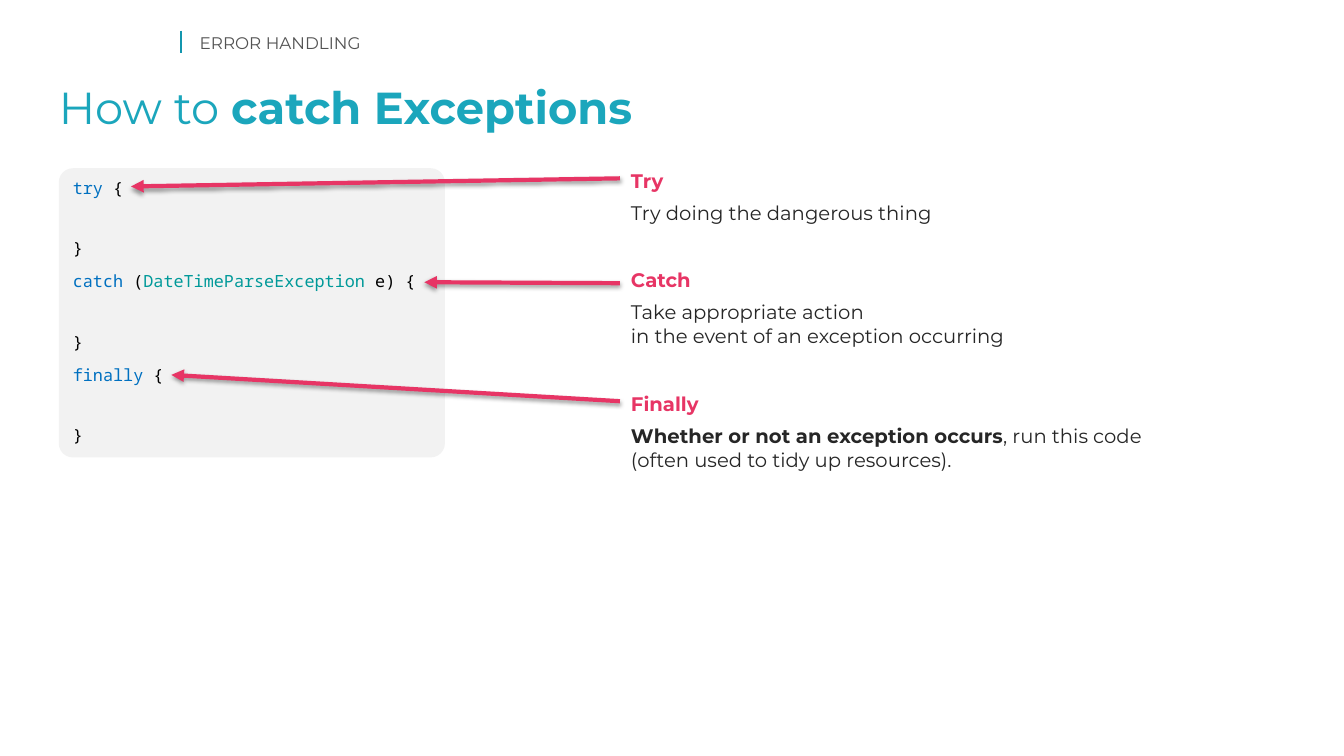
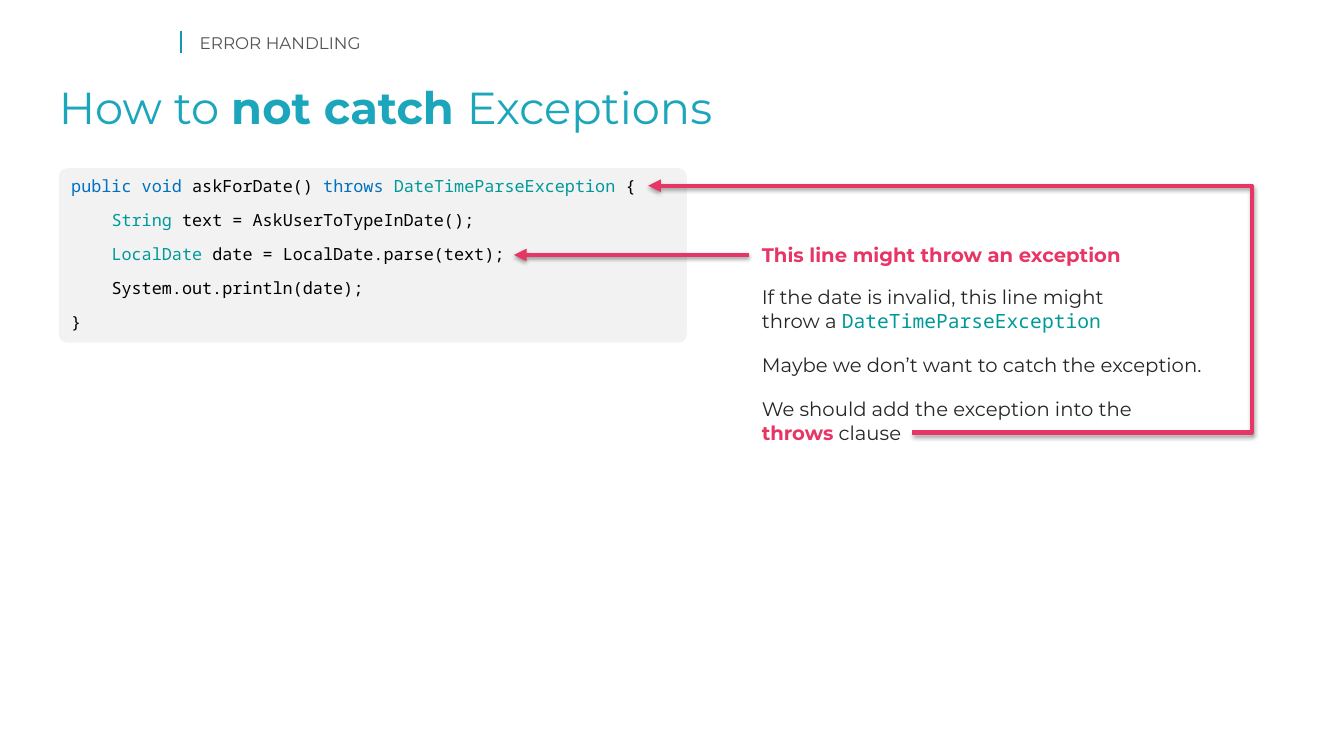
from lxml.etree import SubElement
from pptx import Presentation
from pptx.dml.color import RGBColor
from pptx.enum.shapes import MSO_CONNECTOR, MSO_SHAPE
from pptx.enum.text import MSO_ANCHOR, MSO_AUTO_SIZE, PP_ALIGN
from pptx.oxml.ns import qn
from pptx.util import Pt

SANS, MONO = "Montserrat", "Noto Sans Mono"
TEAL, RULE, GREY, PINK, INK = "1BA6BC", "1396AE", "535353", "E73565", "262626"
BLUE, GREEN, BLACK, PANEL = "0070C0", "009999", "000000", "F2F2F2"
LEFT, TOP = 42, 120.2
PITCH, GAP = 14.3, 9.9


def tint(code):
    """Turn a hex string into a colour."""
    return RGBColor.from_string(code)


def write(para, text, color, size, bold=False, face=SANS):
    """Add text to a paragraph, one run for each line."""
    for num, line in enumerate(text.split("\n")):
        if num:
            para.add_line_break()
        run = para.add_run()
        run.text = line
        font = run.font
        font.name, font.size, font.bold = face, Pt(size), bold
        font.color.rgb = tint(color)


def setup(shape, box=None):
    """Place a text shape, clear its margins and return its first paragraph."""
    if box:
        shape.left, shape.top, shape.width, shape.height = map(Pt, box)
    frame = shape.text_frame
    frame.margin_left = frame.margin_right = 0
    frame.margin_top = frame.margin_bottom = 0
    frame.word_wrap = True
    frame.auto_size = MSO_AUTO_SIZE.NONE
    frame.vertical_anchor = MSO_ANCHOR.TOP
    para = frame.paragraphs[0]
    para.alignment = PP_ALIGN.LEFT
    return para


def head(deck, parts):
    """Add a slide with its section label, rule and title."""
    slide = deck.slides.add_slide(deck.slide_layouts[0])
    title, label = slide.placeholders
    para = setup(title, (LEFT, 61.2, 872.6, 34.6))
    para.line_spacing = 0.9
    for text, bold in parts:
        write(para, text, TEAL, 32, bold)
    para = setup(label, (142.6, 25.2, 674.6, 13.7))
    para.line_spacing = 0.9
    para.space_before = Pt(0)
    write(para, "ERROR HANDLING", GREY, 12)
    link(slide, (129.4, 21.9), (129.4, 38.2), RULE, 1)
    return slide


def link(slide, start, end, color, width, kind=MSO_CONNECTOR.STRAIGHT):
    """Draw a plain line and return its properties element."""
    line = slide.shapes.add_connector(kind, *map(Pt, start + end))
    line.line.color.rgb = tint(color)
    line.line.width = Pt(width)
    props = line._element.spPr
    SubElement(props, qn("a:effectLst"))
    return props


def arrow(slide, tip, tail, turn=None):
    """Draw a shadowed arrow, bent at the given x when there is one."""
    kind = MSO_CONNECTOR.ELBOW if turn else MSO_CONNECTOR.STRAIGHT
    props = link(slide, tip, tail, PINK, 3, kind)
    SubElement(props.find(qn("a:ln")), qn("a:headEnd"), type="triangle")
    cast = SubElement(props.find(qn("a:effectLst")), qn("a:outerShdw"),
                      blurRad=str(Pt(3.1)), dist=str(Pt(1.6)),
                      dir="5400000", rotWithShape="0")
    shade = SubElement(cast, qn("a:srgbClr"), val=BLACK)
    SubElement(shade, qn("a:alpha"), val="38000")
    if turn:
        ratio = round((turn - tip[0]) / (tail[0] - tip[0]) * 100000)
        guides = props.find(qn("a:prstGeom")).find(qn("a:avLst"))
        SubElement(guides, qn("a:gd"), name="adj1", fmla=f"val {ratio}")


def code(slide, box, rows):
    """Draw a code panel; each row is space before, indent and runs."""
    panel = slide.shapes.add_shape(MSO_SHAPE.ROUNDED_RECTANGLE, *map(Pt, box))
    panel.adjustments[0] = 0.049
    panel.shadow.inherit = False
    panel.fill.solid()
    panel.fill.fore_color.rgb = tint(PANEL)
    panel.line.fill.background()
    frame = panel.text_frame
    frame.word_wrap = True
    frame.vertical_anchor = MSO_ANCHOR.MIDDLE
    frame.margin_bottom = Pt(5.6)
    for num, (before, indent, runs) in enumerate(rows):
        para = frame.add_paragraph() if num else frame.paragraphs[0]
        para.alignment = PP_ALIGN.LEFT
        para.line_spacing = Pt(PITCH)
        para.space_before = Pt(before)
        para._p.get_or_add_pPr().set("marL", str(Pt(indent)))
        for text, color in runs:
            write(para, text, color, 12, face=MONO)


def note(slide, box, paras, after):
    """Write a note; each paragraph is a list of runs."""
    shape = slide.shapes.add_textbox(*map(Pt, box))
    first = setup(shape)
    for num, runs in enumerate(paras):
        para = shape.text_frame.add_paragraph() if num else first
        para.space_after = Pt(after)
        for text, color, bold, face in runs:
            write(para, text, color, 14, bold, face)


def plain(text):
    """Give a run of body text."""
    return text, INK, False, SANS


def strong(text, color=PINK):
    """Give a run of bold text."""
    return text, color, True, SANS


def catch(deck):
    """Build the slide on catching exceptions."""
    slide = head(deck, [("How to ", False), ("catch Exceptions", True)])
    heads = [
        [("try", BLUE), (" {", BLACK)],
        [("catch", BLUE), (" (", BLACK), ("DateTimeParseException", GREEN),
         (" e) {", BLACK)],
        [("finally", BLUE), (" {", BLACK)],
    ]
    rows = []
    for num, runs in enumerate(heads):
        rows.append((GAP if num else 0, 0, runs))
        rows.append((2 * PITCH, 0, [("}", BLACK)]))
    code(slide, (LEFT, TOP, 275.8, 206.6), rows)
    notes = [
        (120.6, 268, "Try", [plain("Try doing the dangerous thing")]),
        (191.5, 268, "Catch", [plain("Take appropriate action \n"
                                     "in the event of an exception occurring")]),
        (280, 366.5, "Finally", [
            strong("Whether or not an exception occurs", INK),
            plain(", run this code (often used to tidy up resources).")]),
    ]
    for top, width, name, runs in notes:
        note(slide, (450.7, top, width, 57), [[strong(name)], runs], 6)
    for tip, level in (((93.6, 133.2), 127.4), ((303.1, 201.6), 202.3),
                       ((122.4, 267.8), 286.6)):
        arrow(slide, tip, (442.8, level))


def throw(deck):
    """Build the slide on passing exceptions on."""
    slide = head(deck, [("How to ", False), ("not catch ", True),
                        ("Exceptions", False)])
    step = 28.8
    code(slide, (LEFT, TOP, 448.6, 124.6), [
        (0, 0, [("public void ", BLUE), ("askForDate() ", BLACK),
                ("throws ", BLUE), ("DateTimeParseException", GREEN),
                (" {", BLACK)]),
        (GAP, step, [("String ", GREEN),
                     ("text = AskUserToTypeInDate();", BLACK)]),
        (GAP, step, [("LocalDate", GREEN),
                     (" date = LocalDate.parse(text);", BLACK)]),
        (GAP, step, [("System.out.println(date);", BLACK)]),
        (GAP, 0, [("}", BLACK)]),
    ])
    notes = [
        (173.5, 268, [strong("This line might throw an exception")]),
        (203.8, 268, [plain("If the date is invalid, this line might throw a "),
                      ("DateTimeParseException", GREEN, False, MONO)]),
        (252, 323.3, [plain("Maybe we don’t want to catch the exception.")]),
        (283.6, 272.9, [plain("We should add the exception into the "),
                        strong("throws"), plain(" clause")]),
    ]
    for top, width, runs in notes:
        note(slide, (544.2, top, width, 17), [runs], 12)
    arrow(slide, (463, 132.6), (651.6, 308.9), 894.2)
    arrow(slide, (367.2, 182.1), (535, 182.1))


def main():
    """Build and save the deck."""
    deck = Presentation()
    deck.slide_width, deck.slide_height = Pt(960), Pt(540)
    catch(deck)
    throw(deck)
    deck.save("out.pptx")


main()
